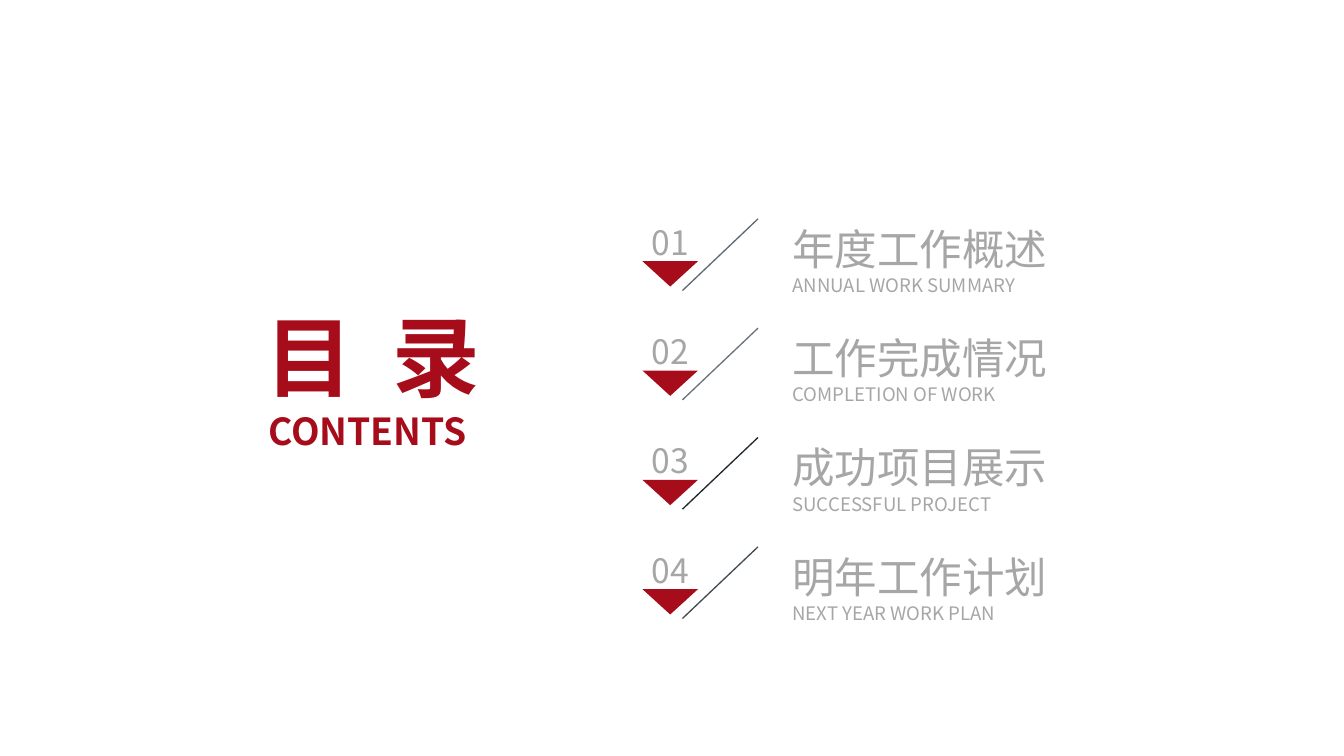
"""Build a contents slide with a title and four numbered sections."""
from dataclasses import dataclass
from typing import Any

import pptx
import pptx.dml.color
import pptx.enum.shapes
import pptx.enum.text
import pptx.oxml.ns
import pptx.util
from lxml import etree

ALIGN = pptx.enum.text.PP_ALIGN
ANCHOR = pptx.enum.text.MSO_ANCHOR


@dataclass(frozen=True)
class Theme:
    font: str = "Noto Sans CJK SC"
    red: str = "A70C1B"
    grey: str = "A6A6A6"
    title: float = 66
    title_spacing: float = 7.4
    subtitle: float = 28
    heading: float = 32
    caption: float = 14
    number: float = 25.3
    rule: float = 1


@dataclass(frozen=True)
class Box:
    left: float
    top: float
    width: float
    height: float

    def down(self, rows: float) -> "Box":
        return Box(self.left, self.top + rows, self.width, self.height)

    def emu(self) -> tuple[int, int, int, int]:
        return x(self.left), y(self.top), x(self.width), y(self.height)


@dataclass(frozen=True)
class Line:
    text: str
    size: float
    color: str
    bold: bool = False
    spacing: float = 0


@dataclass(frozen=True)
class Section:
    heading: str
    caption: str
    slash_color: str


THEME = Theme()
WIDTH = pptx.util.Inches(14.06)
HEIGHT = pptx.util.Inches(7.91)

PITCH = 14.46
TITLE = Box(16.57, 39.95, 22.33, 14.03)
SUBTITLE = Box(16.29, 53.98, 22.12, 5.94)
LABEL = Box(58.96, 29.46, 23.83, 9.73)
SLASH = Box(50.78, 28.95, 5.62, 9.48)
MARKER = Box(47.8, 34.55, 4.13, 3.35)
NUMBER = Box(47.65, 29.2, 4.41, 5.44)

SECTIONS = [
    Section("年度工作概述", "ANNUAL WORK SUMMARY", "606A74"),
    Section("工作完成情况", "COMPLETION OF WORK", "69747E"),
    Section("成功项目展示", "SUCCESSFUL PROJECT", "20282F"),
    Section("明年工作计划", "NEXT YEAR WORK PLAN", "414B56"),
]


def x(percent: float) -> int:
    return round(WIDTH * percent / 100)


def y(percent: float) -> int:
    return round(HEIGHT * percent / 100)


def rgb(color: str) -> pptx.dml.color.RGBColor:
    return pptx.dml.color.RGBColor.from_string(color)


def add_text(shapes: Any, box: Box, lines: list[Line], align: Any, anchor: Any) -> None:
    tf = shapes.add_textbox(*box.emu()).text_frame
    tf.word_wrap = True
    tf.auto_size = pptx.enum.text.MSO_AUTO_SIZE.SHAPE_TO_FIT_TEXT
    tf.vertical_anchor = anchor
    tf.margin_left = tf.margin_top = tf.margin_right = tf.margin_bottom = 0
    for i, line in enumerate(lines):
        p = tf.add_paragraph() if i else tf.paragraphs[0]
        p.alignment = align
        p.add_run().text = line.text
        p.font.name = THEME.font
        p.font.size = pptx.util.Pt(line.size)
        p.font.bold = line.bold
        p.font.color.rgb = rgb(line.color)
        props = p._p.pPr.find(pptx.oxml.ns.qn("a:defRPr"))
        etree.SubElement(props, pptx.oxml.ns.qn("a:ea"), typeface=THEME.font)
        if line.spacing:
            props.set("spc", str(round(line.spacing * 100)))


def add_slash(shapes: Any, box: Box, color: str) -> None:
    left, top, width, height = box.emu()
    line = shapes.add_connector(
        pptx.enum.shapes.MSO_CONNECTOR.STRAIGHT, left + width, top, left, top + height
    )
    line.line.color.rgb = rgb(color)
    line.line.width = pptx.util.Pt(THEME.rule)
    etree.SubElement(line._element.spPr, pptx.oxml.ns.qn("a:effectLst"))


def add_marker(shapes: Any, box: Box) -> None:
    left, top, width, height = box.emu()
    outline = shapes.build_freeform(left, top)
    outline.add_line_segments([(left + width, top), (left + width // 2, top + height)])
    sp = outline.convert_to_shape()
    sp.shadow.inherit = False
    sp.fill.solid()
    sp.fill.fore_color.rgb = rgb(THEME.red)
    sp.line.fill.background()


def add_section(s: Any, index: int, section: Section) -> None:
    drop = index * PITCH
    label = [
        Line(section.heading, THEME.heading, THEME.grey),
        Line(section.caption, THEME.caption, THEME.grey),
    ]
    number = [Line(f"{index + 1:02}", THEME.number, THEME.grey)]
    add_text(s.shapes, LABEL.down(drop), label, ALIGN.LEFT, ANCHOR.MIDDLE)
    badge = s.shapes.add_group_shape().shapes
    add_slash(badge, SLASH.down(drop), section.slash_color)
    add_marker(badge, MARKER.down(drop))
    add_text(badge, NUMBER.down(drop), number, ALIGN.CENTER, ANCHOR.BOTTOM)


def main() -> None:
    prs = pptx.Presentation()
    prs.slide_width, prs.slide_height = WIDTH, HEIGHT
    s = prs.slides.add_slide(prs.slide_layouts[6])
    for index, section in enumerate(SECTIONS):
        add_section(s, index, section)
    title = Line("目 录", THEME.title, THEME.red, True, THEME.title_spacing)
    subtitle = Line("CONTENTS", THEME.subtitle, THEME.red, True)
    add_text(s.shapes, TITLE, [title], ALIGN.CENTER, ANCHOR.MIDDLE)
    add_text(s.shapes, SUBTITLE, [subtitle], ALIGN.CENTER, ANCHOR.TOP)
    prs.save("out.pptx")


if __name__ == "__main__":
    main()
